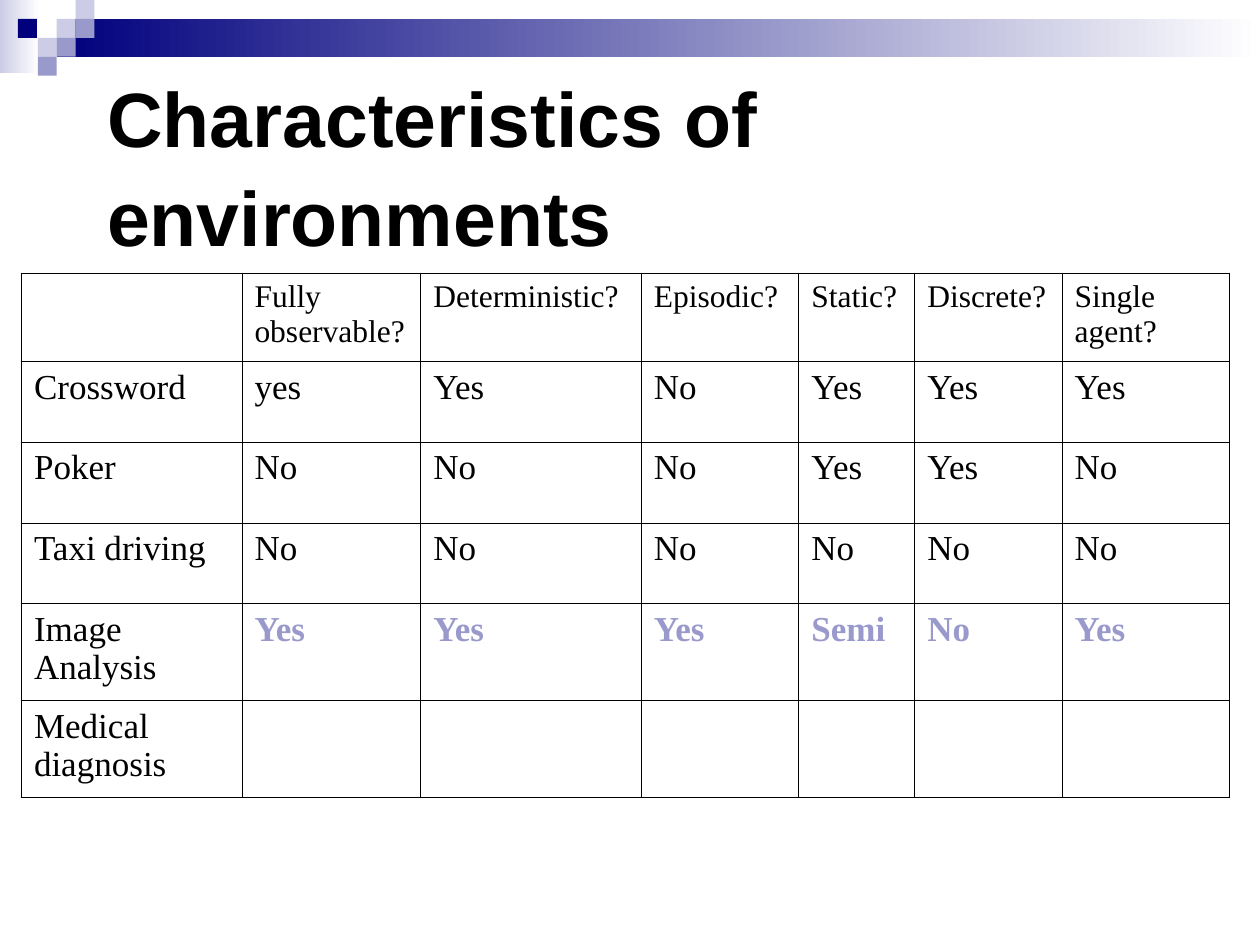
from pptx import Presentation
from pptx.dml.color import RGBColor
from pptx.enum.shapes import MSO_SHAPE
from pptx.enum.text import MSO_ANCHOR, MSO_AUTO_SIZE, PP_ALIGN
from pptx.oxml.ns import qn
from pptx.util import Inches, Pt
from lxml import etree

RECTANGLE = MSO_SHAPE.RECTANGLE
MIDDLE = MSO_ANCHOR.MIDDLE
NO_AUTOFIT = MSO_AUTO_SIZE.NONE
LEFT = PP_ALIGN.LEFT
TITLE_ONLY = 5

BLACK = RGBColor(0x00, 0x00, 0x00)
WHITE = RGBColor(0xFF, 0xFF, 0xFF)
NAVY = RGBColor(0x00, 0x00, 0x7D)
LAVENDER = RGBColor(0xCC, 0xCC, 0xE6)
PERIWINKLE = RGBColor(0x99, 0x99, 0xCC)

UNIT = 0.15  # side of one decoration square, in inches
SQUARES = [  # column, row, colour
    (3, 1, LAVENDER), (4, 0, LAVENDER), (4, 1, PERIWINKLE), (2, 2, LAVENDER),
    (0.95, 1, NAVY), (3, 2, PERIWINKLE), (2, 3, PERIWINKLE),
]

COLUMN_WIDTHS = [1.75, 1.42, 1.75, 1.25, 0.92, 1.17, 1.33]
ROW_HEIGHTS = [0.7, 0.64, 0.64, 0.64, 0.77, 0.77]
ROWS = [
    ["", "Fully observable?", "Deterministic?", "Episodic?", "Static?", "Discrete?", "Single agent?"],
    ["Crossword", "yes", "Yes", "No", "Yes", "Yes", "Yes"],
    ["Poker", "No", "No", "No", "Yes", "Yes", "No"],
    ["Taxi driving", "No", "No", "No", "No", "No", "No"],
    ["Image Analysis", "Yes", "Yes", "Yes", "Semi", "No", "Yes"],
    ["Medical diagnosis", "", "", "", "", "", ""],
]
HIGHLIGHTED_ROW = 4
INNER_LINE, OUTER_LINE = 0.45, 1.08


def write_text(frame, text, *, font, size, color=BLACK, bold=False, before=0, spacing=None):
    paragraph = frame.paragraphs[0]
    paragraph.alignment = LEFT
    paragraph.space_before = Pt(before)
    paragraph.line_spacing = spacing
    run = paragraph.add_run()
    run.text = text
    run.font.name = font
    run.font.size = Pt(size)
    run.font.bold = bold
    run.font.color.rgb = color


def add_block(slide, column, row, columns, rows, *colors):
    """Add a rectangle on the unit grid; two colours make a left-to-right gradient."""
    shape = slide.shapes.add_shape(
        RECTANGLE, *(Inches(UNIT * count) for count in (column, row, columns, rows)))
    shape.shadow.inherit = False
    shape.line.fill.background()
    if len(colors) == 1:
        shape.fill.solid()
        shape.fill.fore_color.rgb = colors[0]
    else:
        shape.fill.gradient()
        shape.fill.gradient_angle = 0
        for stop, color in zip(shape.fill.gradient_stops, colors):
            stop.color.rgb = color


def add_decoration(slide):
    add_block(slide, 0, 0, 2.07, 3.87, LAVENDER, WHITE)
    add_block(slide, 3, 1, 63.67, 2, NAVY, WHITE)
    for column, row, color in SQUARES:
        add_block(slide, column, row, 1, 1, color)


def set_title(slide, text):
    title = slide.shapes.title
    title.left, title.top = Inches(0.75), Inches(0.67)
    title.width, title.height = Inches(8.5), Inches(1.25)
    frame = title.text_frame
    frame.auto_size = NO_AUTOFIT
    frame.vertical_anchor = MIDDLE
    write_text(frame, text, font="Arial", size=44, bold=True, spacing=1.07)


def set_borders(cell, outer_sides):
    """Draw the four borders, with a heavier line on the sides at the table's edge."""
    properties = cell._tc.get_or_add_tcPr()
    for position, side in enumerate("LRTB"):
        width = OUTER_LINE if side in outer_sides else INNER_LINE
        line = etree.Element(qn(f"a:ln{side}"), w=str(Pt(width)))
        fill = etree.SubElement(line, qn("a:solidFill"))
        etree.SubElement(fill, qn("a:srgbClr"), val=str(BLACK))
        properties.insert(position, line)


def add_characteristics_table(slide):
    table = slide.shapes.add_table(
        len(ROWS), len(COLUMN_WIDTHS), Inches(0.17), Inches(2.17),
        Inches(sum(COLUMN_WIDTHS)), Inches(sum(ROW_HEIGHTS))).table
    table.first_row = table.horz_banding = False
    for column, width in zip(table.columns, COLUMN_WIDTHS):
        column.width = Inches(width)
    for row, height in zip(table.rows, ROW_HEIGHTS):
        row.height = Inches(height)

    last_row, last_column = len(ROWS) - 1, len(COLUMN_WIDTHS) - 1
    for r, values in enumerate(ROWS):
        size = 18 if r == 0 else 20
        for c, value in enumerate(values):
            cell = table.cell(r, c)
            cell.fill.background()
            edges = {"L": c == 0, "R": c == last_column, "T": r == 0, "B": r == last_row}
            set_borders(cell, [side for side, outer in edges.items() if outer])
            if value:
                highlighted = r == HIGHLIGHTED_ROW and c > 0
                write_text(cell.text_frame, value, font="Times New Roman", size=size,
                           color=PERIWINKLE if highlighted else BLACK,
                           bold=highlighted, before=size / 4)


def main():
    presentation = Presentation()
    presentation.slide_width, presentation.slide_height = Inches(10), Inches(7.5)
    slide = presentation.slides.add_slide(presentation.slide_layouts[TITLE_ONLY])
    add_decoration(slide)
    set_title(slide, "Characteristics of environments")
    add_characteristics_table(slide)
    presentation.save("out.pptx")


if __name__ == "__main__":
    main()
